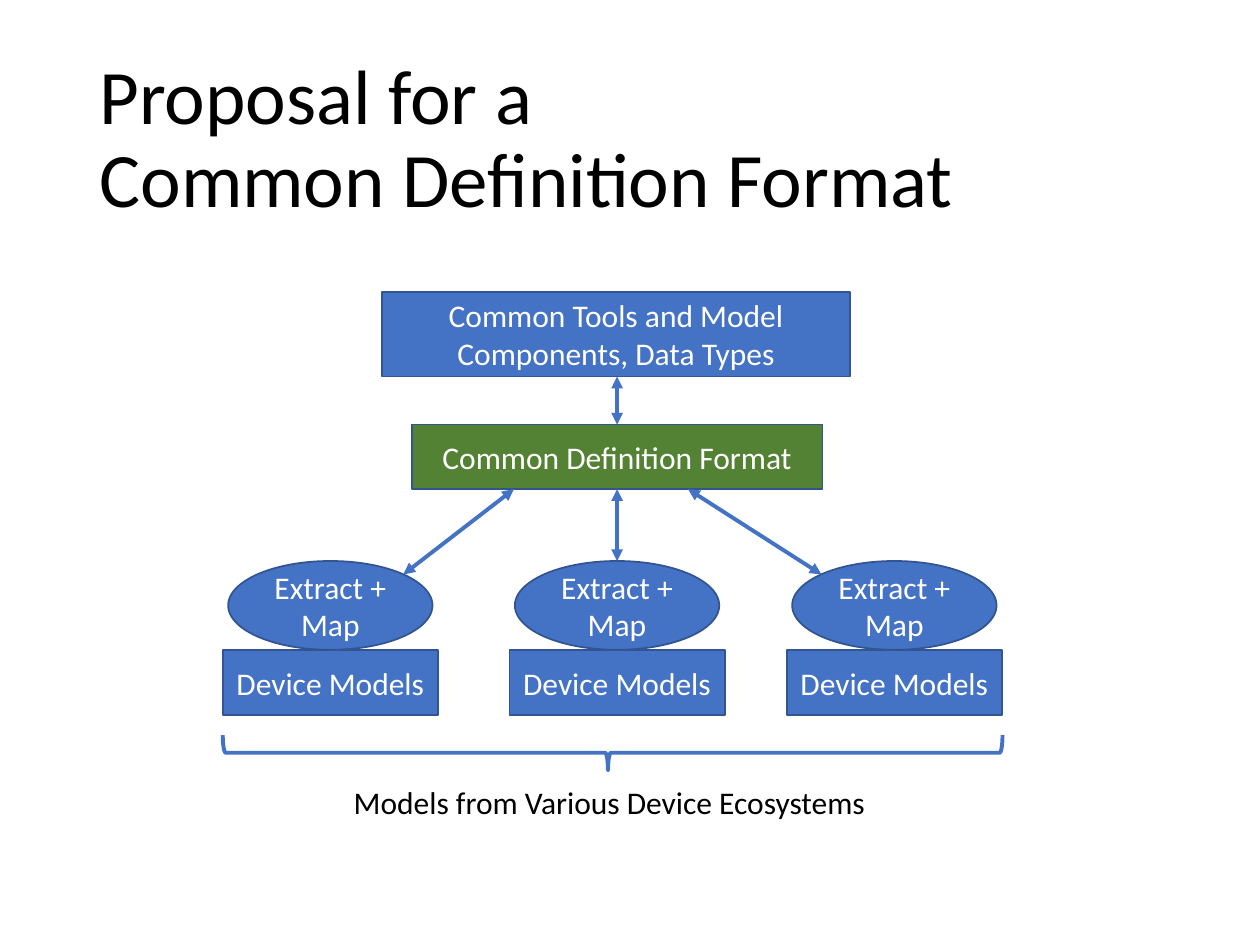
from pptx import Presentation
from pptx.dml.color import RGBColor
from pptx.enum.shapes import MSO_CONNECTOR, MSO_SHAPE
from pptx.enum.text import MSO_ANCHOR, MSO_AUTO_SIZE, PP_ALIGN
from pptx.oxml.ns import qn
from pptx.util import Cm, Pt
from lxml.etree import SubElement

BLUE, GREEN, EDGE = "4472C4", "548235", "325491"


def rgb(value):
    return RGBColor.from_string(value)


def write(tf, text, size=18, color="000000", align=PP_ALIGN.LEFT,
          anchor=MSO_ANCHOR.TOP, spacing=None, wrap=True):
    tf.word_wrap = wrap
    tf.vertical_anchor = anchor
    p = tf.paragraphs[0]
    p.text = text
    p.alignment = align
    p.line_spacing = spacing
    for r in p.runs:
        r.font.name = "Calibri"
        r.font.size = Pt(size)
        r.font.color.rgb = rgb(color)


def place(sp, x, y, w, h):
    sp.left, sp.top, sp.width, sp.height = Cm(x), Cm(y), Cm(w), Cm(h)


def add_title(s, text):
    sp = s.shapes.title
    place(sp, 1.75, 1.01, 21.9, 3.68)
    sp.text_frame.auto_size = MSO_AUTO_SIZE.NONE
    write(sp.text_frame, text, size=44, anchor=MSO_ANCHOR.MIDDLE, spacing=0.9)


def add_node(s, text, center, y, w, h, kind=MSO_SHAPE.RECTANGLE, fill=BLUE):
    sp = s.shapes.add_shape(kind, Cm(center - w / 2), Cm(y), Cm(w), Cm(h))
    sp.shadow.inherit = False
    sp.fill.solid()
    sp.fill.fore_color.rgb = rgb(fill)
    sp.line.color.rgb = rgb(EDGE)
    sp.line.width = Pt(1)
    write(sp.text_frame, text, color="FFFFFF", align=PP_ALIGN.CENTER,
          anchor=MSO_ANCHOR.MIDDLE)


def add_arrow(s, x1, y1, x2, y2):
    c = s.shapes.add_connector(MSO_CONNECTOR.STRAIGHT, Cm(x1), Cm(y1), Cm(x2), Cm(y2))
    c.line.color.rgb = rgb(BLUE)
    c.line.width = Pt(2.25)
    ln = c.line._get_or_add_ln()
    for end in ("a:headEnd", "a:tailEnd"):
        SubElement(ln, qn(end), type="triangle")
    SubElement(c._element.spPr, qn("a:effectLst"))


def add_brace(s, x, y, w, h):
    sp = s.shapes.add_shape(MSO_SHAPE.RIGHT_BRACE, 0, 0, Cm(h), Cm(w))
    place(sp, x + (w - h) / 2, y + (h - w) / 2, h, w)
    sp.rotation = 90
    sp.adjustments[0] = 0.083
    sp.adjustments[1] = 0.506
    sp.shadow.inherit = False
    sp.fill.background()
    sp.line.color.rgb = rgb(BLUE)
    sp.line.width = Pt(2.25)


def add_caption(s, text, x, y, w, h):
    sp = s.shapes.add_textbox(Cm(x), Cm(y), Cm(w), Cm(h))
    write(sp.text_frame, text, wrap=False)
    sp.text_frame.auto_size = MSO_AUTO_SIZE.SHAPE_TO_FIT_TEXT


def main():
    prs = Presentation()
    prs.slide_width, prs.slide_height = Cm(25.4), Cm(19.05)
    s = prs.slides.add_slide(prs.slide_layouts[5])
    add_title(s, "Proposal for a\vCommon Definition Format")

    middle = 12.44
    add_node(s, "Common Tools and Model Components, Data Types",
             middle - 0.02, 5.88, 9.43, 1.71)
    add_node(s, "Common Definition Format", middle, 8.56, 8.28, 1.3, fill=GREEN)
    for center in (6.66, middle, 18.03):
        add_node(s, "Extract + Map", center, 11.31, 4.12, 1.79, kind=MSO_SHAPE.OVAL)
        add_node(s, "Device Models", center, 13.11, 4.34, 1.3)

    add_arrow(s, middle, 7.59, middle, 8.56)
    for x1, x2, y2 in ((10.36, 8.13, 11.58), (middle, middle, 11.31), (13.87, 16.56, 11.58)):
        add_arrow(s, x1, 9.86, x2, y2)

    add_brace(s, 4.49, 14.82, 15.72, 0.71)
    add_caption(s, "Models from Various Device Ecosystems", 6.88, 15.67, 10.95, 1.02)
    prs.save("out.pptx")


main()
